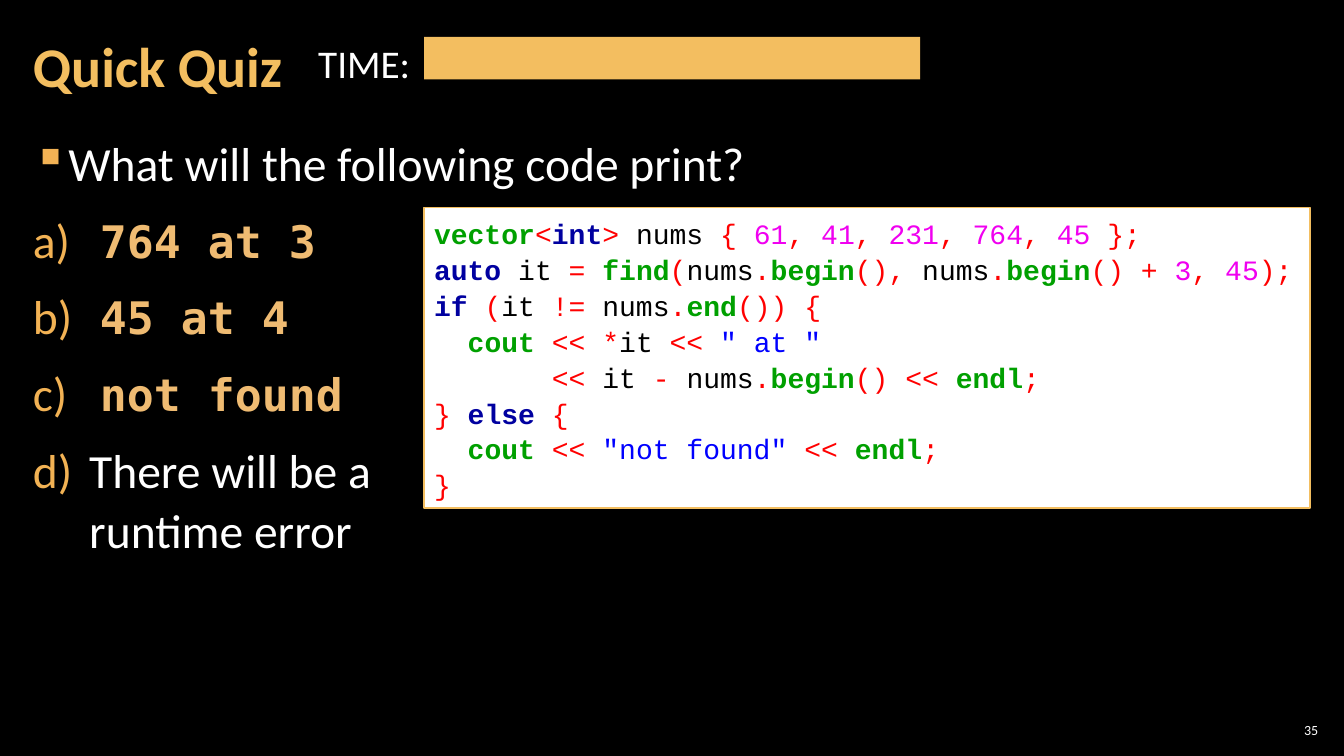
from itertools import groupby

from lxml import etree
from pptx import Presentation
from pptx import util as u
from pptx.dml.color import RGBColor
from pptx.enum import shapes, text
from pptx.oxml.ns import qn

COLORS = {
    "background": "000000", "white": "FFFFFF", "gold": "F3BE60",
    "bullet": "F2B254", "answer": "EFBB72", "plain": "000000",
    "keyword": "0000A0", "name": "00A000", "number": "F000F0",
    "string": "0000FF", "operator": "FF0000",
}
KEYWORDS = {"int", "auto", "if", "else"}
LIBRARY_NAMES = {"vector", "find", "begin", "end", "cout", "endl"}

QUESTION = "What will the following code print?"
CODE_ANSWERS = ["764 at 3", "45 at 4", "not found"]
LAST_ANSWER = "There will be a \vruntime error"
CODE = """\
vector<int> nums { 61, 41, 231, 764, 45 };
auto it = find(nums.begin(), nums.begin() + 3, 45);
if (it != nums.end()) {
  cout << *it << " at "
       << it - nums.begin() << endl;
} else {
  cout << "not found" << endl;
}"""


def token_kind(token):
    if token in KEYWORDS:
        return "keyword"
    if token in LIBRARY_NAMES:
        return "name"
    if token.isdigit():
        return "number"
    return "plain" if token.isalnum() else "operator"


def tokenize(line):
    """Yield (token, kind) pairs for one line of code."""
    for position, part in enumerate(line.split('"')):
        if position % 2:
            yield f'"{part}"', "string"
            continue
        for _, characters in groupby(part, str.isalnum):
            token = "".join(characters)
            yield token, token_kind(token)


class QuizSlide:
    body_font = "Calibri"
    answer_font = "DejaVu Sans Mono"
    code_font = "Courier New"

    def __init__(self, presentation):
        self.slide = presentation.slides.add_slide(presentation.slide_layouts[6])
        fill = self.slide.background.fill
        fill.solid()
        fill.fore_color.rgb = self.color("background")

    def color(self, name):
        return RGBColor.from_string(COLORS[name])

    def format_run(self, run, size, color="white", font=None, bold=False):
        run.font.size = u.Pt(size)
        run.font.name = font or self.body_font
        run.font.bold = bold
        run.font.color.rgb = self.color(color)

    def add_run(self, paragraph, content, size, **style):
        run = paragraph.add_run()
        run.text = content
        self.format_run(run, size, **style)

    def text_box(self, left, top, width, height, side=0.3, wrap=True,
                 anchor=text.MSO_ANCHOR.TOP):
        box = self.slide.shapes.add_textbox(
            u.Cm(left), u.Cm(top), u.Cm(width), u.Cm(height))
        frame = box.text_frame
        frame.word_wrap = wrap
        frame.vertical_anchor = anchor
        frame.margin_left = frame.margin_right = u.Cm(side)
        frame.margin_top = frame.margin_bottom = u.Cm(0.1)
        return frame

    def label(self, content, size, *place, align=text.PP_ALIGN.LEFT,
              color="white", bold=False, **box):
        frame = self.text_box(*place, anchor=text.MSO_ANCHOR.MIDDLE, **box)
        frame.text = content
        paragraph = frame.paragraphs[0]
        paragraph.alignment = align
        self.format_run(paragraph.runs[0], size, color=color, bold=bold)

    def rectangle(self, left, top, width, height, fill, line=None):
        shape = self.slide.shapes.add_shape(
            shapes.MSO_SHAPE.RECTANGLE,
            u.Cm(left), u.Cm(top), u.Cm(width), u.Cm(height))
        shape.shadow.inherit = False
        shape.fill.solid()
        shape.fill.fore_color.rgb = self.color(fill)
        if line:
            shape.line.color.rgb = self.color(line)
            shape.line.width = u.Pt(1)
        else:
            shape.line.fill.background()
        return shape

    def set_bullet(self, paragraph, indent, tag, **attributes):
        properties = paragraph._p.get_or_add_pPr()
        properties.set("marL", str(u.Cm(indent)))
        properties.set("indent", str(-u.Cm(indent)))
        bullet_color = etree.SubElement(properties, qn("a:buClr"))
        etree.SubElement(bullet_color, qn("a:srgbClr"), val=COLORS["bullet"])
        etree.SubElement(properties, qn(tag), **attributes)

    def list_item(self, paragraph):
        paragraph.line_spacing = 1.05
        paragraph.space_before = paragraph.space_after = u.Pt(6)

    def question(self, *place):
        frame = self.text_box(*place)
        frame.text = "\n".join([QUESTION, *[" "] * len(CODE_ANSWERS), LAST_ANSWER])
        for paragraph in frame.paragraphs:
            self.list_item(paragraph)
            for run in paragraph.runs:
                self.format_run(run, 34)
        prompt, *answers = frame.paragraphs
        self.set_bullet(prompt, 0.84, "a:buChar", char="▪")
        for paragraph in answers:
            self.set_bullet(paragraph, 1.42, "a:buAutoNum", type="alphaLcParenR")
        for paragraph, answer in zip(answers, CODE_ANSWERS):
            self.add_run(paragraph, answer, 32, color="answer",
                         font=self.answer_font, bold=True)

    def code(self, *place):
        frame = self.rectangle(*place, fill="white", line="gold").text_frame
        frame.word_wrap = True
        frame.vertical_anchor = text.MSO_ANCHOR.MIDDLE
        for number, line in enumerate(CODE.splitlines()):
            paragraph = frame.add_paragraph() if number else frame.paragraphs[0]
            paragraph.alignment = text.PP_ALIGN.LEFT
            paragraph.line_spacing = 1.07
            for token, kind in tokenize(line):
                self.add_run(paragraph, token, 20, color=kind, font=self.code_font,
                             bold=kind in ("keyword", "name"))


def main():
    presentation = Presentation()
    presentation.slide_width = u.Cm(33.87)
    presentation.slide_height = u.Cm(19.05)
    quiz = QuizSlide(presentation)
    quiz.label("35", 10, 32.13, 18.14, 1.19, 0.53, side=0.1,
               align=text.PP_ALIGN.RIGHT)
    quiz.question(0.53, 3.2, 32.79, 15.47)
    quiz.label("Quick Quiz", 40, 0.53, 0.1, 26.59, 3.07, color="gold", bold=True)
    quiz.rectangle(10.69, 0.93, 12.5, 1.07, fill="gold")
    quiz.label("TIME:", 28, 7.77, 0.86, 2.84, 1.45, side=0.25, wrap=False)
    quiz.code(10.69, 5.23, 22.33, 7.57)
    presentation.save("out.pptx")


if __name__ == "__main__":
    main()
